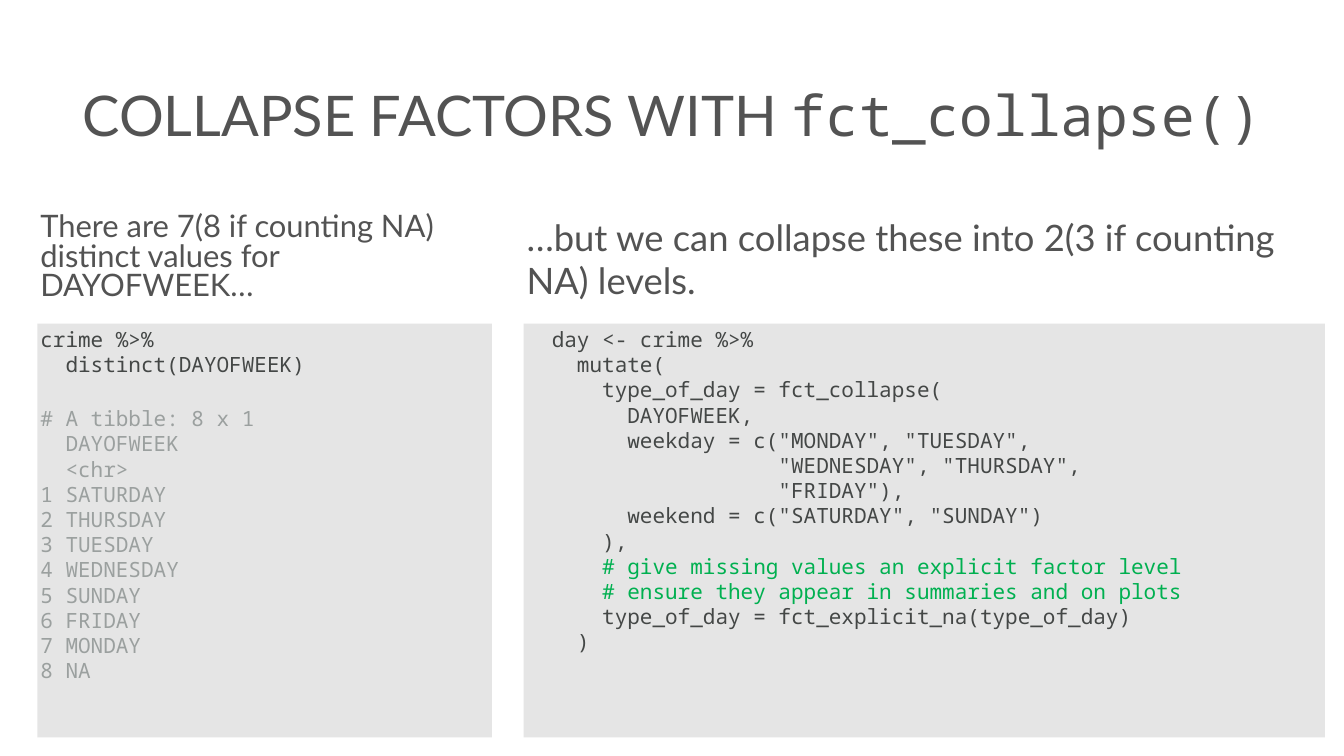
"""Build a slide on collapsing factor levels with fct_collapse()."""
from pptx import Presentation
from pptx.dml.color import RGBColor
from pptx.enum.shapes import MSO_SHAPE
from pptx.enum.text import MSO_ANCHOR, PP_ALIGN
from pptx.util import Pt

PX = 9144
INSET = 6
HEAD = RGBColor(0x53, 0x53, 0x53)
CODE = RGBColor(0x44, 0x47, 0x46)
OUTPUT = RGBColor(0x9B, 0xA0, 0x9F)
COMMENT = RGBColor(0x00, 0xB0, 0x50)
PANEL = RGBColor(0xE5, 0xE5, 0xE5)
SANS, MONO = "Lato", "Noto Sans Mono"

DISTINCT = """crime %>%
  distinct(DAYOFWEEK)

# A tibble: 8 x 1
  DAYOFWEEK
  <chr>
1 SATURDAY
2 THURSDAY
3 TUESDAY
4 WEDNESDAY
5 SUNDAY
6 FRIDAY
7 MONDAY
8 NA"""

COLLAPSE = """day <- crime %>%
  mutate(
    type_of_day = fct_collapse(
      DAYOFWEEK,
      weekday = c("MONDAY", "TUESDAY",
                  "WEDNESDAY", "THURSDAY",
                  "FRIDAY"),
      weekend = c("SATURDAY", "SUNDAY")
    ),
    # give missing values an explicit factor level
    # ensure they appear in summaries and on plots
    type_of_day = fct_explicit_na(type_of_day)
  )"""


def set_frame(tf, anchor, left=INSET):
    tf.word_wrap = True
    tf.vertical_anchor = anchor
    margins = {"margin_left": left, "margin_top": INSET,
               "margin_right": INSET, "margin_bottom": INSET}
    for name, value in margins.items():
        setattr(tf, name, value * PX)


def add_run(p, text, font, size, color):
    r = p.add_run()
    r.text = text
    for name, value in {"name": font, "size": Pt(size)}.items():
        setattr(r.font, name, value)
    r.font.color.rgb = color


prs = Presentation()
prs.slide_width, prs.slide_height = 2667 * PX, 1500 * PX
s = prs.slides.add_slide(prs.slide_layouts[6])

headings = [
    ((74, 39, 2521, 375), PP_ALIGN.CENTER, 1.0, 80,
     [("COLLAPSE FACTORS WITH ", SANS), ("fct_collapse()", MONO)]),
    ((74, 419, 902, 187), PP_ALIGN.LEFT, 0.8, 44.2,
     [("There are 7(8 if counting NA) distinct values for DAYOFWEEK…", SANS)]),
    ((1039, 419, 1556, 187), PP_ALIGN.LEFT, 1.0, 52,
     [("…but we can collapse these into 2(3 if counting NA) levels.", SANS)]),
]
for box, align, spacing, size, runs in headings:
    sp = s.shapes.add_textbox(*(v * PX for v in box))
    set_frame(sp.text_frame, MSO_ANCHOR.MIDDLE)
    p = sp.text_frame.paragraphs[0]
    p.alignment = align
    p.line_spacing = spacing
    for text, font in runs:
        add_run(p, text, font, size, HEAD)

panels = [
    ((74, 642, 902, 821), INSET, DISTINCT, range(3, 14), OUTPUT),
    ((1039, 642, 1590, 821), INSET + 50, COLLAPSE, range(9, 11), COMMENT),
]
for box, left, code, tinted, tint in panels:
    sp = s.shapes.add_shape(MSO_SHAPE.RECTANGLE, *(v * PX for v in box))
    sp.shadow.inherit = False
    sp.fill.solid()
    sp.fill.fore_color.rgb = PANEL
    sp.line.fill.background()
    tf = sp.text_frame
    set_frame(tf, MSO_ANCHOR.TOP, left)
    gap = 0
    for i, line in enumerate(code.split("\n")):
        if not line:
            gap = 41
            continue
        p = tf.add_paragraph() if i else tf.paragraphs[0]
        p.alignment = PP_ALIGN.LEFT
        p.space_before = Pt(gap)
        gap = 0
        add_run(p, line, MONO, 30, tint if i in tinted else CODE)

prs.save("out.pptx")
